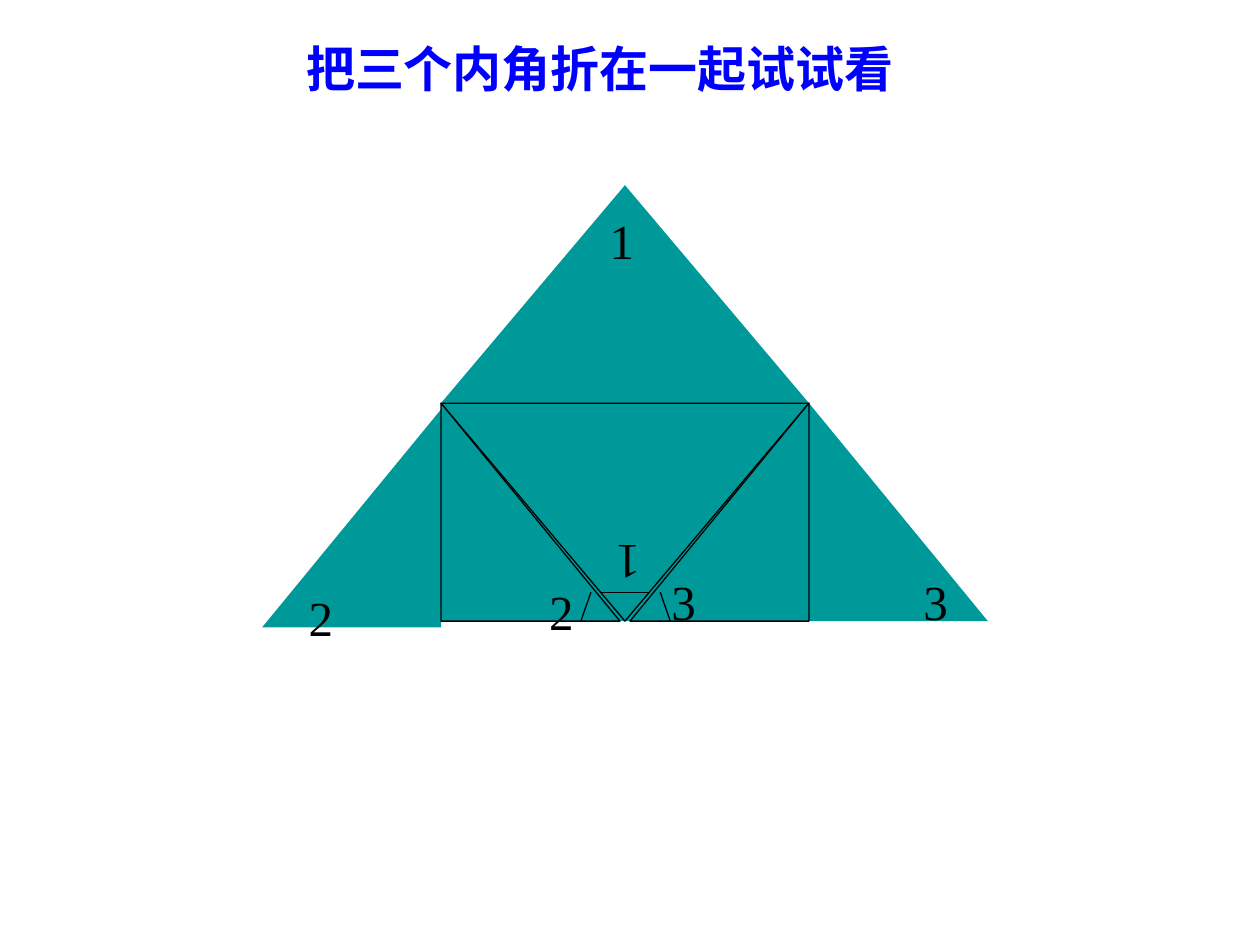
from pptx import Presentation
from pptx.dml.color import RGBColor
from pptx.enum.shapes import MSO_CONNECTOR as LINE, MSO_SHAPE as SHAPE
from pptx.enum.text import MSO_ANCHOR as ANCHOR, PP_ALIGN as ALIGN
from pptx.oxml.ns import qn
from pptx.util import Inches, Pt
from lxml import etree

TEAL, BLACK, BLUE = "009999", "000000", "0000FF"
FONT = "Times New Roman"
HALF, WIDE, TALL = 1.46, 1.42, 1.73   # half of top flap, side flap, flap height
LEFT, FOLD = 3.5, 3.2                 # left fold and level fold
RIGHT = LEFT + 2 * HALF
BASE = FOLD + TALL


def paint(color):
    return RGBColor.from_string(color)


def write(shape, text, color, align, anchor, wrap, bold=False):
    frame = shape.text_frame
    frame.text = text
    look = dict(word_wrap=wrap, vertical_anchor=anchor,
                margin_left=Inches(0.1), margin_right=Inches(0.1),
                margin_top=Inches(0.05), margin_bottom=Inches(0.05))
    for key, value in look.items():
        setattr(frame, key, value)
    para = frame.paragraphs[0]
    para.alignment = align
    font = para.runs[0].font
    for key, value in dict(name=FONT, size=Pt(28), bold=bold).items():
        setattr(font, key, value)
    font.color.rgb = paint(color)


def fill(shape, edge):
    shape.shadow.inherit = False
    shape.fill.solid()
    shape.fill.fore_color.rgb = paint(TEAL)
    if edge:
        shape.line.color.rgb = paint(BLACK)
        shape.line.width = Pt(0.74)
    else:
        shape.line.fill.background()


def label(shapes, text, x, y, turn=0):
    box = shapes.add_textbox(Inches(x), Inches(y), Inches(0.39), Inches(0.57))
    box.rotation = turn
    write(box, text, BLACK, ALIGN.CENTER, ANCHOR.BOTTOM, False)


def mark(shapes, start, end):
    line = shapes.add_connector(LINE.STRAIGHT, *map(Inches, start + end))
    line.line.color.rgb = paint(BLACK)
    line.line.width = Pt(0.74)
    etree.SubElement(line._element.spPr, qn("a:effectLst"))


def flap(shapes, x, y, points, edge, text, spot, turn=0, arc=None):
    """Triangle with its angle mark and number, all relative to (x, y)."""
    spots = [(Inches(x + dx), Inches(y + dy)) for dx, dy in points]
    path = shapes.build_freeform(*spots[0], scale=1.0)
    path.add_line_segments(spots[1:], close=True)
    fill(path.convert_to_shape(), edge)
    if arc:
        mark(shapes, *[(x + dx, y + dy) for dx, dy in arc])
    label(shapes, text, x + spot[0], y + spot[1], turn)


def heading(slide, x, y, w, h):
    title = slide.shapes.title
    title.left, title.top, title.width, title.height = map(Inches, (x, y, w, h))
    write(title, "把三个内角折在一起试试看", BLUE, ALIGN.LEFT, ANCHOR.MIDDLE, True, True)


def folding(shapes):
    # Middle of the sheet
    sheet = shapes.add_shape(SHAPE.RECTANGLE, Inches(LEFT), Inches(FOLD),
                             Inches(2 * HALF), Inches(TALL))
    fill(sheet, False)

    # Top corner, open and folded down
    for edge, tip, spot, turn, arc in [
        (False, -TALL, (1.24, -1.58), 0, None),
        (True, TALL, (1.29, 1), 180, [(1.66, 1.5), (1.26, 1.5)]),
    ]:
        flap(shapes, LEFT, FOLD, [(HALF, tip), (2 * HALF, 0), (0, 0)],
             edge, "1", spot, turn, arc)

    # Side corners, open and folded in
    for text, x, y, side, edge, spot, arc in [
        ("2", LEFT, FOLD + 0.05, -1, False, (-1.15, 1.36), None),
        ("2", LEFT, FOLD, 1, True, (0.76, 1.36), [(1.19, 1.5), (1.11, TALL)]),
        ("3", RIGHT, FOLD, 1, False, (0.81, 1.28), None),
        ("3", RIGHT, FOLD, -1, True, (-1.19, 1.28), [(-1.18, 1.5), (-1.1, TALL)]),
    ]:
        flap(shapes, x, y, [(0, 0), (side * WIDE, TALL), (0, TALL)],
             edge, text, spot, arc=arc)


deck = Presentation()
deck.slide_width, deck.slide_height = Inches(10), Inches(7.5)
slide = deck.slides.add_slide(deck.slide_layouts[5])
heading(slide, 2.33, 0.25, 5.67, 0.57)
folding(slide.shapes)
deck.save("out.pptx")
